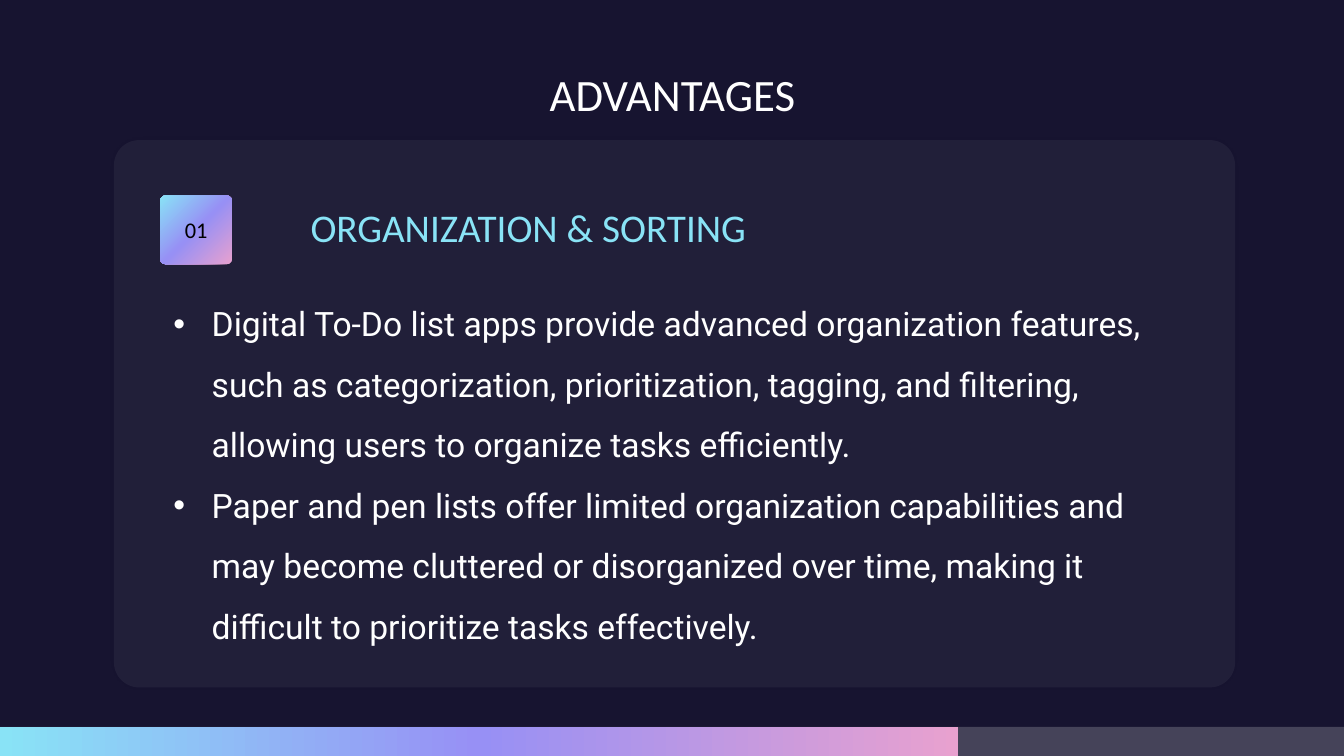
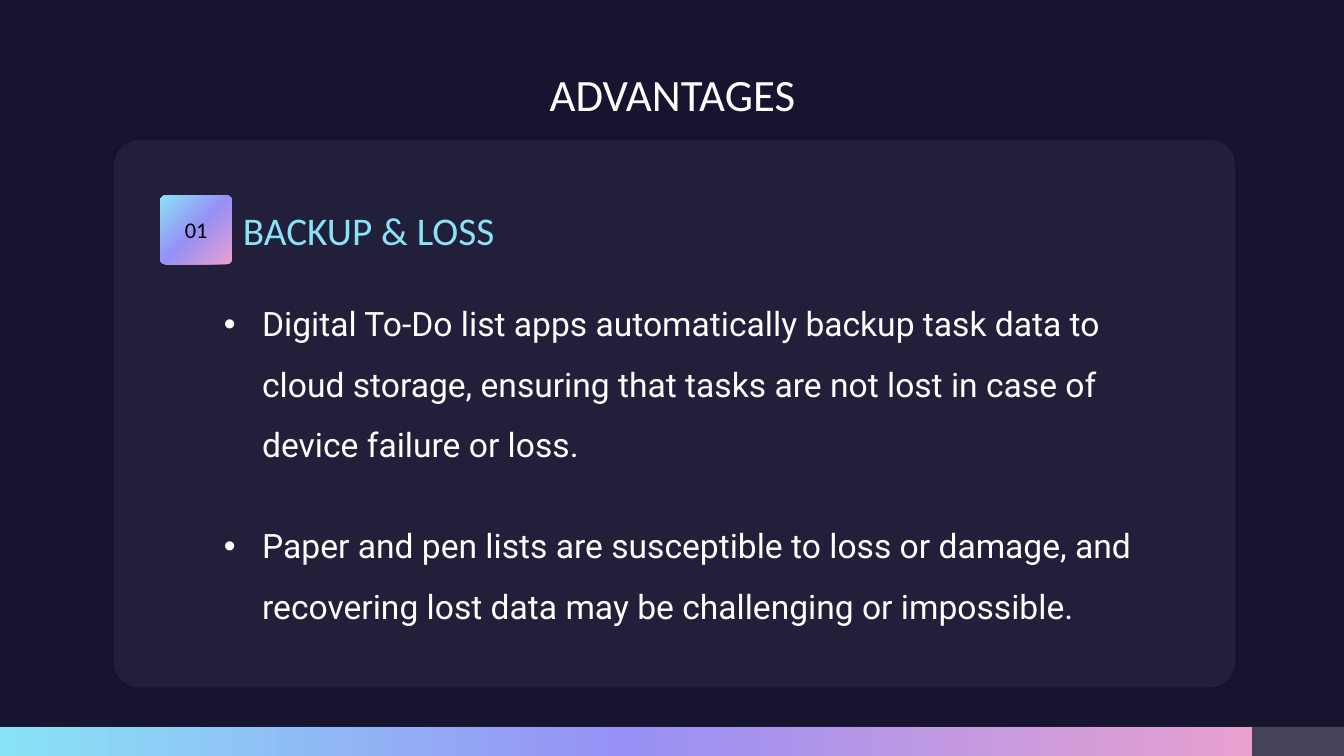
from pptx import Presentation
from pptx.dml.color import RGBColor
from pptx.enum.shapes import MSO_SHAPE as Shape
from pptx.enum.text import MSO_ANCHOR as Anchor, PP_ALIGN as Align
from pptx.oxml import parse_xml
from pptx.oxml.ns import nsdecls, qn
from pptx.oxml.xmlchemy import OxmlElement
from pptx.util import Inches, Pt

SLIDE_W, SLIDE_H = 13.33, 7.5
NIGHT, WHITE, BLACK = "171430", "FFFFFF", "000000"
CYAN, VIOLET, PINK = "89E3F6", "9790F5", "E8A1CF"
HEADING_FONT, BODY_FONT = "Calibri", "Roboto"
FOOTER_H = 0.29
LINEAR = '<a:lin ang="0" scaled="0"/>'
FROM_TOP_LEFT = ('<a:path path="circle">'
                 '<a:fillToRect r="100000" b="100000"/></a:path>')


def rgb(color):
    return RGBColor.from_string(color)


def add_child(parent, tag, **attributes):
    child = OxmlElement(tag)
    for name, value in attributes.items():
        child.set(name, str(value))
    parent.append(child)
    return child


def add_block(slide, kind, box, color=WHITE, opacity=100, corner=None):
    block = slide.shapes.add_shape(kind, *map(Inches, box))
    block.fill.solid()
    block.fill.fore_color.rgb = rgb(color)
    block.line.fill.background()
    block.shadow.inherit = False
    if corner is not None:
        block.adjustments[0] = corner
    if opacity < 100:
        srgb = block._element.spPr.find(qn("a:solidFill"))[0]
        add_child(srgb, "a:alpha", val=opacity * 1000)
    return block


def set_gradient(block, direction):
    """Fill with the cyan-violet-pink blend, running as direction says."""
    stops = "".join(
        f'<a:gs pos="{position * 1000}"><a:srgbClr val="{color}"/></a:gs>'
        for position, color in ((0, CYAN), (50, VIOLET), (100, PINK)))
    properties = block._element.spPr
    properties.replace(
        properties.find(qn("a:solidFill")),
        parse_xml(f'<a:gradFill {nsdecls("a")} rotWithShape="1">'
                  f'<a:gsLst>{stops}</a:gsLst>{direction}</a:gradFill>'))


def add_glow(block):
    effects = block._element.spPr.find(qn("a:effectLst"))
    glow = add_child(effects, "a:outerShdw", blurRad=int(Pt(7)), dist=0,
                     dir=0, algn="ctr", rotWithShape=0)
    add_child(add_child(glow, "a:srgbClr", val=BLACK), "a:alpha", val=20000)


def style(paragraph, size, color, font=HEADING_FONT, align=Align.LEFT):
    paragraph.alignment = align
    paragraph.font.size = Pt(size)
    paragraph.font.name = font
    paragraph.font.color.rgb = rgb(color)


def add_text_frame(slide, box, anchor):
    frame = slide.shapes.add_textbox(*map(Inches, box)).text_frame
    frame.word_wrap = True
    frame.vertical_anchor = anchor
    frame.margin_left = frame.margin_right = 0
    return frame


def add_line_of_text(slide, box, text, size, color, align=Align.LEFT):
    paragraph = add_text_frame(slide, box, Anchor.BOTTOM).paragraphs[0]
    paragraph.text = text
    style(paragraph, size, color, align=align)


def add_badge(slide, number):
    badge = add_block(slide, Shape.ROUNDED_RECTANGLE,
                      (1.59, 1.94, 0.71, 0.68), corner=0.072)
    set_gradient(badge, FROM_TOP_LEFT)
    frame = badge.text_frame
    frame.margin_left = frame.margin_right = 0
    frame.margin_top = frame.margin_bottom = 0
    frame.vertical_anchor = Anchor.MIDDLE
    frame.paragraphs[0].text = number
    style(frame.paragraphs[0], 16, BLACK, align=Align.CENTER)


def add_bullets(slide, points, indent, gap):
    frame = add_text_frame(slide, (1.72, 2.76, 9.95, 3.65), Anchor.TOP)
    for index, point in enumerate(points):
        paragraph = frame.add_paragraph() if index else frame.paragraphs[0]
        paragraph.text = point
        paragraph.line_spacing = 1.5
        paragraph.space_before = Pt(gap if index else 0)
        style(paragraph, 24, WHITE, BODY_FONT)
        properties = paragraph._p.get_or_add_pPr()
        properties.set("marL", str(Inches(indent)))
        properties.set("indent", str(Inches(-0.38)))
        bullet_font = OxmlElement("a:buFont")
        bullet_font.set("typeface", "Arial")
        bullet = OxmlElement("a:buChar")
        bullet.set("char", "•")
        fill_position = properties.find(qn("a:defRPr"))
        for element in (bullet_font, bullet):
            fill_position.addprevious(element)


def add_progress_footer(slide, progress):
    top = SLIDE_H - FOOTER_H
    add_block(slide, Shape.RECTANGLE, (0, top, SLIDE_W, FOOTER_H), opacity=20)
    bar = add_block(slide, Shape.RECTANGLE, (0, top, progress, FOOTER_H))
    set_gradient(bar, LINEAR)


def add_advantage(deck, heading, heading_at, points, progress, indent, gap=0):
    slide = deck.slides.add_slide(deck.slide_layouts[6])
    slide.background.fill.solid()
    slide.background.fill.fore_color.rgb = rgb(NIGHT)
    add_line_of_text(slide, (3.52, 0.53, 6.3, 0.71), "ADVANTAGES", 32, WHITE,
                     Align.CENTER)
    add_progress_footer(slide, progress)
    card = add_block(slide, Shape.ROUNDED_RECTANGLE, (1.13, 1.39, 11.12, 5.43),
                     opacity=5, corner=0.046)
    add_glow(card)
    add_badge(slide, "01")
    add_line_of_text(slide, (*heading_at, 7.32, 0.57), heading, 28, CYAN)
    add_bullets(slide, points, indent, gap)


def main():
    deck = Presentation()
    deck.slide_width, deck.slide_height = Inches(SLIDE_W), Inches(SLIDE_H)
    add_advantage(
        deck, "ORGANIZATION & SORTING", (3.08, 1.96),
        ["Digital To-Do list apps provide advanced organization features, "
         "such as categorization, prioritization, tagging, and filtering, "
         "allowing users to organize tasks efficiently.",
         "Paper and pen lists offer limited organization capabilities and "
         "may become cluttered or disorganized over time, making it "
         "difficult to prioritize tasks effectively."],
        progress=9.5, indent=0.38)
    add_advantage(
        deck, "BACKUP & LOSS", (2.41, 1.99),
        ["Digital To-Do list apps automatically backup task data to cloud "
         "storage, ensuring that tasks are not lost in case of device "
         "failure or loss.",
         "Paper and pen lists are susceptible to loss or damage, and "
         "recovering lost data may be challenging or impossible."],
        progress=12.42, indent=0.88, gap=29)
    deck.save("out.pptx")


if __name__ == "__main__":
    main()
